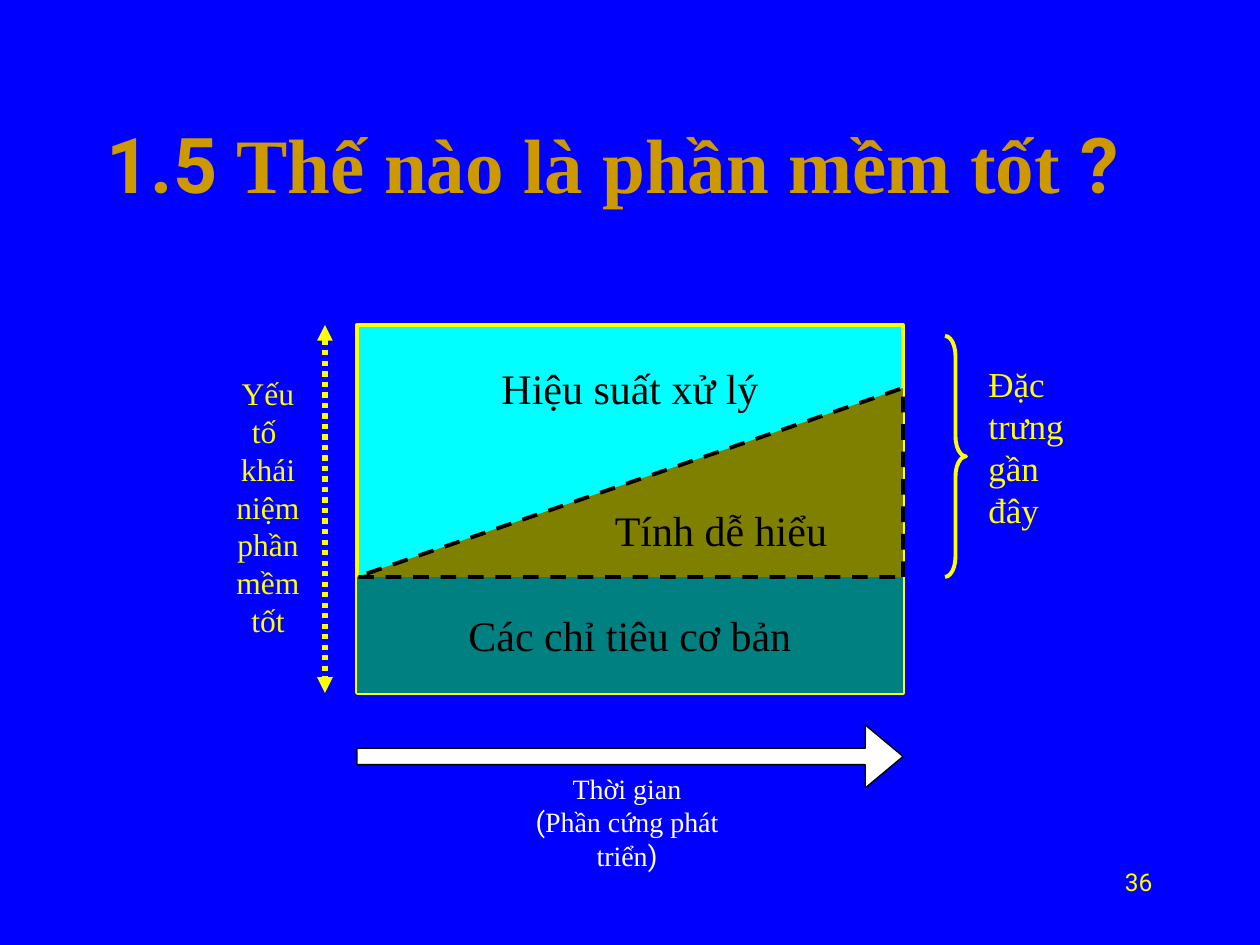
from lxml import etree
from pptx import Presentation
from pptx import util as u
from pptx.dml.color import RGBColor
from pptx.enum import dml, shapes, text
from pptx.oxml.ns import qn

SCALE = 914400 / 126
SERIF, SANS = "Times New Roman", "Roboto"
COLORS = {
    "background": "0000FF",
    "title": "CC9900",
    "accent": "FFFF00",
    "performance": "00FFFF",
    "basics": "008080",
    "clarity": "808000",
    "black": "000000",
    "white": "FFFFFF",
}
LEFT, TOP, WIDTH, HEIGHT = 357, 325, 546, 368
BASE = 577


def px(*lengths):
    """Turn pixel lengths into EMU."""
    return [u.Emu(round(length * SCALE)) for length in lengths]


def color(name):
    """Look up a named colour."""
    return RGBColor.from_string(COLORS[name])


def write(frame, paragraphs, size, ink, align, bold=False):
    """Fill a text frame with paragraphs made of (text, font) runs."""
    for index, spans in enumerate(paragraphs):
        para = frame.add_paragraph() if index else frame.paragraphs[0]
        para.alignment = align
        for words, font in spans:
            span = para.add_run()
            span.text = words
            span.font.name = font
            span.font.size = u.Pt(size)
            span.font.bold = bold
            span.font.color.rgb = color(ink)


def set_line(line, ink, width, dash=None):
    """Format an outline, or hide it when no colour is given."""
    if ink is None:
        line.fill.background()
        return
    line.color.rgb = color(ink)
    line.width = u.Pt(width)
    if dash:
        line.dash_style = dash


def add_figure(page, kind, area, fill, ink=None, width=1, dash=None, adjust=()):
    """Add a preset shape with its fill, outline and adjustments."""
    figure = page.shapes.add_shape(kind, *px(*area))
    figure.shadow.inherit = False
    if fill:
        figure.fill.solid()
        figure.fill.fore_color.rgb = color(fill)
    else:
        figure.fill.background()
    set_line(figure.line, ink, width, dash)
    for index, value in enumerate(adjust):
        figure.adjustments[index] = value
    return figure


def add_caption(figure, words):
    """Write a centred black caption inside a shape."""
    frame = figure.text_frame
    frame.word_wrap = False
    frame.vertical_anchor = text.MSO_ANCHOR.MIDDLE
    write(frame, [[(words, SERIF)]], 24, "black", text.PP_ALIGN.CENTER)


def add_label(page, area, paragraphs, size, ink, align, wrap=False):
    """Add a free text label."""
    frame = page.shapes.add_textbox(*px(*area)).text_frame
    frame.word_wrap = wrap
    write(frame, paragraphs, size, ink, align)


def add_double_arrow(page, start, end):
    """Add a dotted line with a triangle at each end."""
    arrow = page.shapes.add_connector(
        shapes.MSO_CONNECTOR.STRAIGHT, *px(*start, *end))
    set_line(arrow.line, "accent", 3, dml.MSO_LINE.ROUND_DOT)
    outline = arrow.line._get_or_add_ln()
    for tag in ("a:headEnd", "a:tailEnd"):
        etree.SubElement(outline, qn(tag), type="triangle")
    etree.SubElement(arrow._element.spPr, qn("a:effectLst"))


def add_title(page):
    """Place and format the title."""
    title = page.shapes.title
    title.left, title.top, title.width, title.height = px(94, 84, 1072, 158)
    frame = title.text_frame
    frame.auto_size = text.MSO_AUTO_SIZE.NONE
    frame.vertical_anchor = text.MSO_ANCHOR.MIDDLE
    spans = [("1.5 ", SANS), ("Thế nào là phần mềm tốt", SERIF), (" ?", SANS)]
    write(frame, [spans], 44, "title", text.PP_ALIGN.LEFT, bold=True)


def add_areas(page):
    """Draw the three stacked areas of the diagram."""
    kinds = shapes.MSO_SHAPE
    performance = add_figure(page, kinds.RECTANGLE, (LEFT, TOP, WIDTH, HEIGHT),
                             "performance", "accent", 2.25)
    add_caption(performance, "Hiệu suất xử lý")
    performance.text_frame.vertical_anchor = text.MSO_ANCHOR.TOP
    performance.text_frame.margin_top = px(38)[0]

    basics = add_figure(page, kinds.RECTANGLE,
                        (LEFT, BASE, WIDTH, TOP + HEIGHT - BASE), "basics")
    add_caption(basics, "Các chỉ tiêu cơ bản")

    clarity = add_figure(page, kinds.RIGHT_TRIANGLE, (LEFT, 388, WIDTH, BASE - 388),
                         "clarity", "black", 2.25, dml.MSO_LINE.DASH)
    clarity._element.spPr.xfrm.set("flipH", "1")
    add_caption(clarity, "Tính dễ hiểu")


def main():
    """Build the slide and save it."""
    deck = Presentation()
    deck.slide_width, deck.slide_height = px(1260, 945)
    page = deck.slides.add_slide(deck.slide_layouts[5])
    page.background.fill.solid()
    page.background.fill.fore_color.rgb = color("background")
    align = text.PP_ALIGN

    add_title(page)
    add_areas(page)
    add_figure(page, shapes.MSO_SHAPE.RIGHT_ARROW, (LEFT, 725, WIDTH, 63),
               "white", "black", 0.75, adjust=(0.26, 0.6))
    time = [[("Thời gian", SERIF)],
            [("(", SANS), ("Phần cứng phát triển", SERIF), (")", SANS)]]
    add_label(page, (492, 765, 270, 81), time, 16, "white", align.CENTER, wrap=True)

    add_double_arrow(page, (325, TOP), (325, TOP + HEIGHT))
    factors = ["Yếu", "tố ", "khái", "niệm", "phần", "mềm", "tốt"]
    add_label(page, (224, 368, 88, 277), [[(word, SERIF)] for word in factors],
              18, "accent", align.CENTER)

    add_figure(page, shapes.MSO_SHAPE.RIGHT_BRACE, (945, 336, 21, 241),
               None, "accent", 2.25, adjust=(0.96, 0.5))
    traits = ["Đặc", "trưng", "gần", "đây"]
    add_label(page, (976, 356, 101, 181), [[(word, SERIF)] for word in traits],
              20, "accent", align.LEFT)
    add_label(page, (903, 861, 262, 63), [[("36", SANS)]], 14, "accent",
              align.RIGHT, wrap=True)
    deck.save("out.pptx")


if __name__ == "__main__":
    main()
